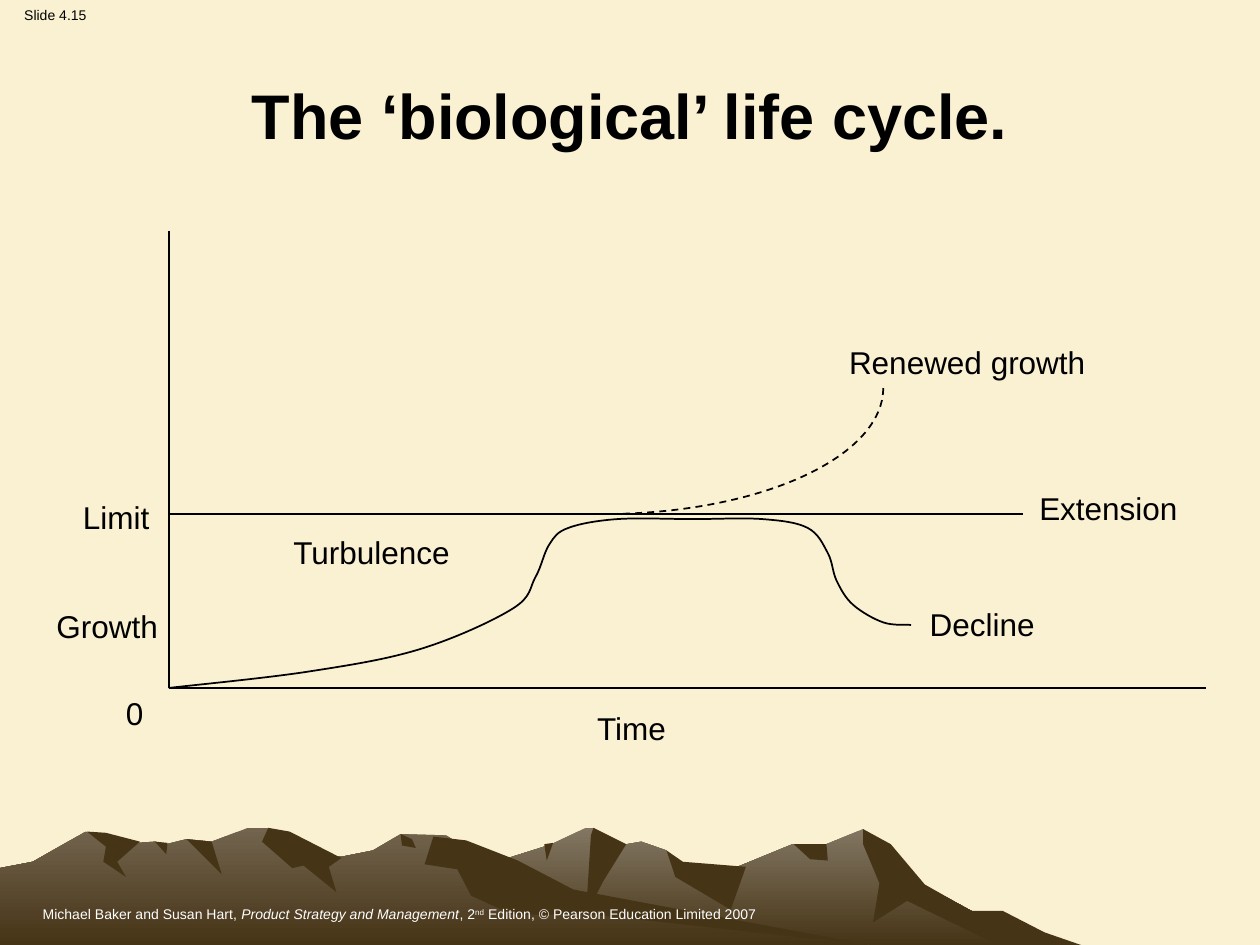
from lxml import etree
from pptx import Presentation
from pptx.dml.color import RGBColor
from pptx.enum.dml import MSO_LINE
from pptx.enum.shapes import MSO_CONNECTOR, MSO_SHAPE
from pptx.enum.text import MSO_ANCHOR, PP_ALIGN
from pptx.oxml.ns import qn
from pptx.util import Inches, Pt

STRAIGHT, ARC = MSO_CONNECTOR.STRAIGHT, MSO_SHAPE.ARC
LEFT, CENTER = PP_ALIGN.LEFT, PP_ALIGN.CENTER
MIDDLE, DASH = MSO_ANCHOR.MIDDLE, MSO_LINE.DASH

THEME = {
    "font": "Arial", "title": 36, "label": 18, "small": 8, "line": 1,
    "background": "FAF0D2", "ink": "000000", "footer": "FFFFFF",
    "shade": "463416", "near": "72644E", "far": "837763",
}
WIDTH, HEIGHT = 10, 7.5

TITLE = "The ‘biological’ life cycle."
FOOTER = [  # text, italic, superscript
    ("Michael Baker and Susan Hart, ", False, False),
    ("Product Strategy and Management", True, False),
    (", 2", False, False),
    ("nd", False, True),
    (" Edition, © Pearson Education Limited 2007", False, False),
]
LABEL_WIDTH, LABEL_HEIGHT = 2.4, 0.4
LABELS = [  # text, left, top
    ("Limit", 0.56, 3.9),
    ("Growth", 0.35, 4.77),
    ("0", 0.9, 5.46),
    ("Time", 4.64, 5.58),
    ("Turbulence", 2.23, 4.18),
    ("Renewed growth", 6.64, 2.67),
    ("Extension", 8.15, 3.83),
    ("Decline", 7.28, 4.75),
]
ORIGIN_X, ORIGIN_Y, LIMIT_Y = 1.34, 5.46, 4.08
AXES = [
    (ORIGIN_X, 1.83, ORIGIN_X, ORIGIN_Y),
    (ORIGIN_X, ORIGIN_Y, 9.57, ORIGIN_Y),
    (ORIGIN_X, LIMIT_Y, 8.12, LIMIT_Y),
]
LIFE_CYCLE = [  # points the smooth curve passes through
    (ORIGIN_X, ORIGIN_Y), (2.45, 5.33), (3.34, 5.15), (4.07, 4.83), (4.25, 4.58),
    (4.36, 4.32), (4.51, 4.19), (4.9, 4.12), (5.5, 4.12), (6.05, 4.12), (6.41, 4.19),
    (6.57, 4.39), (6.64, 4.61), (6.77, 4.8), (7.01, 4.94), (7.23, 4.96),
]
RENEWED_CENTER, RENEWED_RADII = (4.79, 3.08), (2.22, 1)

MOUNTAINS = [  # theme colour at the top, outline; from back to front
    ("far", [
        (2.58, HEIGHT), (3.27, 7.08), (3.94, 6.84), (4.38, 6.7), (4.65, 6.57),
        (4.71, 6.57), (4.86, 6.72), (5.09, 6.68), (5.29, 6.75), (5.36, 6.89),
        (5.66, 6.96), (6.29, 6.7), (6.56, 6.7), (6.85, 6.58), (7.23, 6.97),
        (8.21, HEIGHT)]),
    ("shade", [
        (6.85, 6.58), (7.07, 6.7), (7.34, 7.02), (7.71, 7.23), (7.96, 7.23),
        (8.29, 7.4), (8.58, HEIGHT), (7.92, HEIGHT), (7.2, 7.15), (6.93, 7.32),
        (6.98, 7.01), (6.85, 6.7)]),
    ("shade", [(4.71, 6.57), (4.97, 6.7), (4.79, 6.99), (4.65, 7.26), (4.69, 6.63)]),
    ("shade", [(5.29, 6.75), (5.42, 6.84), (5.92, 6.88), (5.8, 7.22), (5.36, 6.96)]),
    ("shade", [(6.3, 6.7), (6.56, 6.7), (6.57, 6.83), (6.43, 6.82)]),
    ("shade", [(4.32, 6.7), (4.39, 6.69), (4.34, 6.83)]),
    ("near", [
        (0, HEIGHT), (0, 6.89), (0.26, 6.84), (0.68, 6.6), (0.94, 6.7), (1.23, 6.68),
        (1.32, 6.7), (1.48, 6.66), (1.68, 6.68), (1.97, 6.57), (2.12, 6.57),
        (2.36, 6.79), (2.71, 6.8), (2.96, 6.75), (3.18, 6.62), (3.54, 6.63),
        (4.32, 7.11), (6.9, HEIGHT)]),
    ("shade", [
        (2.13, 6.57), (2.3, 6.6), (2.71, 6.81), (2.61, 6.88), (2.67, 7.08),
        (2.41, 6.87), (2.32, 6.89), (2.08, 6.68)]),
    ("shade", [
        (3.44, 6.64), (3.7, 6.67), (4.11, 6.83), (4.55, 7.06), (6.9, HEIGHT),
        (4.72, 7.26), (4.07, 7.26), (3.74, 7.11), (3.63, 6.9), (3.37, 6.86)]),
    ("shade", [(3.18, 6.62), (3.27, 6.66), (3.3, 6.73), (3.19, 6.71)]),
    ("shade", [(1.48, 6.66), (1.68, 6.68), (1.76, 6.94)]),
    ("shade", [(1.23, 6.68), (1.33, 6.69), (1.32, 6.78)]),
    ("shade", [
        (0.69, 6.6), (0.84, 6.61), (1.11, 6.68), (0.93, 6.84), (1, 6.96),
        (0.82, 6.84), (0.84, 6.72)]),
]


def color(name):
    return RGBColor.from_string(THEME[name])


def set_font(font, size, ink="ink"):
    font.name, font.size = THEME["font"], Pt(THEME[size])
    font.color.rgb = color(ink)


def set_line(line):
    line.color.rgb, line.width = color("ink"), Pt(THEME["line"])


def add_outline(slide, points, close):
    places = [(Inches(x), Inches(y)) for x, y in points]
    builder = slide.shapes.build_freeform(*places[0])
    builder.add_line_segments(places[1:], close=close)
    shape = builder.convert_to_shape()
    shape.shadow.inherit = False
    return shape


def add_mountain(slide, top_color, points):
    mountain = add_outline(slide, points, True)
    mountain.line.fill.background()
    if top_color == "shade":
        mountain.fill.solid()
        mountain.fill.fore_color.rgb = color("shade")
        return
    mountain.fill.gradient()
    mountain.fill.gradient_angle = 270
    for stop, name in zip(mountain.fill.gradient_stops, (top_color, "shade")):
        stop.color.rgb = color(name)


def smooth_path(anchors):
    """Put two Bezier control points between each pair of anchors (Catmull-Rom)."""
    padded = [anchors[0], *anchors, anchors[-1]]
    points = [anchors[0]]
    for before, start, end, after in zip(padded, padded[1:], padded[2:], padded[3:]):
        points.append(tuple(s + (e - b) / 6 for b, s, e in zip(before, start, end)))
        points.append(tuple(e - (a - s) / 6 for s, e, a in zip(start, end, after)))
        points.append(end)
    return points


def add_curve(slide, anchors):
    curve = add_outline(slide, smooth_path(anchors), False)
    curve.fill.background()
    set_line(curve.line)
    segments = list(curve._element.iter(qn("a:lnTo")))
    for first in range(0, len(segments), 3):
        bezier = etree.Element(qn("a:cubicBezTo"))
        segments[first].addprevious(bezier)
        for segment in segments[first:first + 3]:
            bezier.append(segment[0])
            segment.getparent().remove(segment)


def add_renewed_growth(slide):
    (x, y), (across, down) = RENEWED_CENTER, RENEWED_RADII
    renewed = slide.shapes.add_shape(
        ARC, *map(Inches, (x - across, y - down, 2 * across, 2 * down)))
    renewed.adjustments[0], renewed.adjustments[1] = 0, 54  # 0 to 90 degrees
    renewed.shadow.inherit = False
    renewed.fill.background()
    set_line(renewed.line)
    renewed.line.dash_style = DASH


def add_axis(slide, ends):
    axis = slide.shapes.add_connector(STRAIGHT, *map(Inches, ends))
    set_line(axis.line)
    etree.SubElement(axis._element.spPr, qn("a:effectLst"))


def add_text(slide, spot, text, size, align=LEFT, ink="ink", wrap=True):
    box = slide.shapes.add_textbox(*map(Inches, spot))
    box.text_frame.word_wrap = wrap
    para = box.text_frame.paragraphs[0]
    para.text, para.alignment = text, align
    set_font(para.font, size, ink)
    return para


def add_title(slide):
    title = slide.shapes.title
    title.left, title.top, title.width, title.height = map(Inches, (0.75, 0.56, 8.5, 0.7))
    title.text_frame.text = TITLE
    title.text_frame.vertical_anchor = MIDDLE
    para = title.text_frame.paragraphs[0]
    para.alignment, para.font.bold = CENTER, True
    set_font(para.font, "title")


def main():
    deck = Presentation()
    deck.slide_width, deck.slide_height = Inches(WIDTH), Inches(HEIGHT)
    slide = deck.slides.add_slide(deck.slide_layouts[5])
    slide.background.fill.solid()
    slide.background.fill.fore_color.rgb = color("background")

    for top_color, points in MOUNTAINS:
        add_mountain(slide, top_color, points)
    footer = add_text(slide, (0.24, 7.14, 9.45, 0.21), "", "small", ink="footer")
    for text, italic, superscript in FOOTER:
        span = footer.add_run()
        span.text, span.font.italic = text, italic
        if superscript:
            span._r.get_or_add_rPr().set("baseline", "30000")
    add_text(slide, (0, 0, 0.88, 0.24), "Slide 4.15", "small", CENTER, wrap=False)
    add_title(slide)

    for ends in AXES:
        add_axis(slide, ends)
    for text, left, top in LABELS:
        add_text(slide, (left, top, LABEL_WIDTH, LABEL_HEIGHT), text, "label")
    add_curve(slide, LIFE_CYCLE)
    add_renewed_growth(slide)
    deck.save("out.pptx")


if __name__ == "__main__":
    main()
